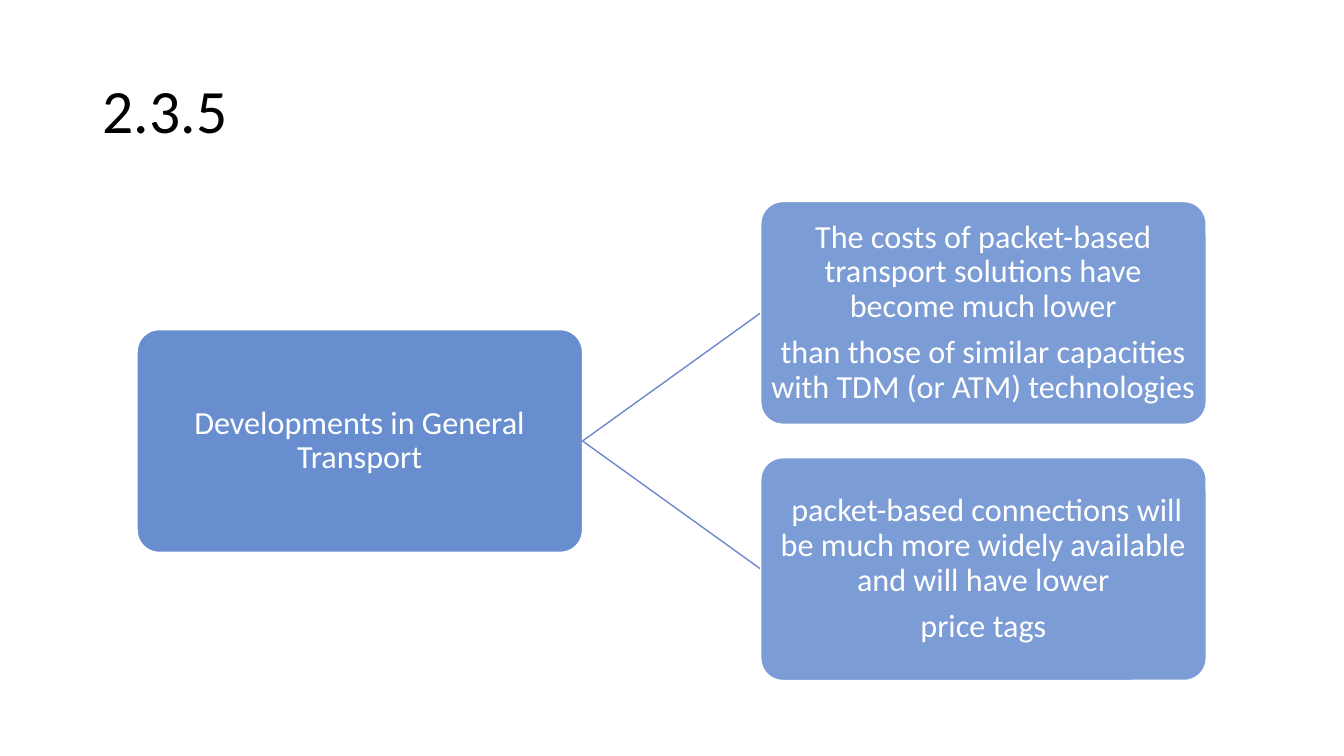
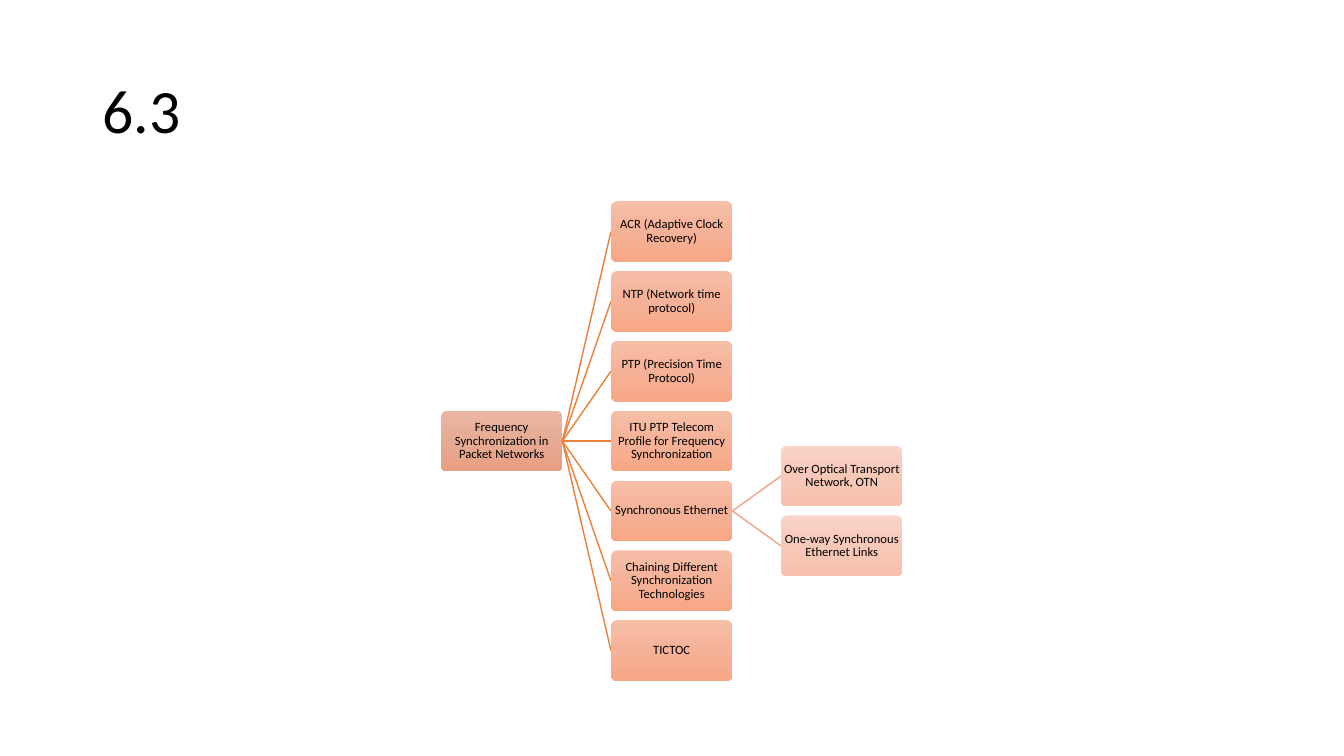
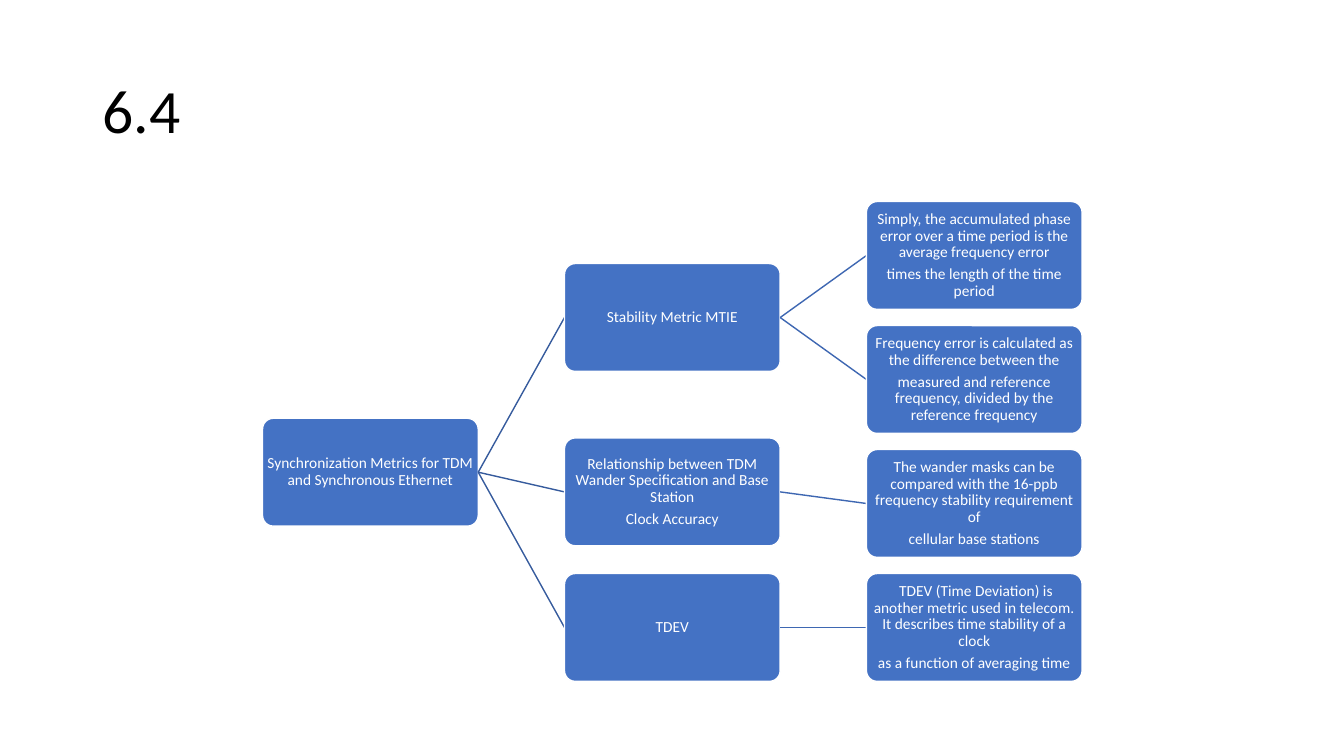
from copy import deepcopy
from dataclasses import dataclass, field

from lxml import etree
from pptx import Presentation, util as u
from pptx.dml.color import RGBColor
from pptx.enum import shapes, text
from pptx.oxml.ns import qn

PX = 4572  # EMU, 200 px to the inch
FONT = "Calibri"
BLACK = RGBColor(0x00, 0x00, 0x00)
WHITE = RGBColor(0xFF, 0xFF, 0xFF)
BLUE = RGBColor(0x44, 0x72, 0xC4)
SOFT_BLUE = RGBColor(0x6D, 0x89, 0xCB)
DARK_BLUE = RGBColor(0x36, 0x5B, 0x9D)
MID_BLUE = RGBColor(0x3E, 0x67, 0xB2)
ORANGE = RGBColor(0xED, 0x7F, 0x39)
PALE_ORANGE = RGBColor(0xF1, 0xA3, 0x83)
CLAY_FADE = [RGBColor(0xEA, 0xB7, 0xA3), RGBColor(0xE6, 0xAB, 0x95), RGBColor(0xE7, 0x9E, 0x81)]
PEACH_FADE = [RGBColor(0xF7, 0xBE, 0xA7), RGBColor(0xF5, 0xB2, 0x98), RGBColor(0xF8, 0xA7, 0x85)]
BLUSH_FADE = [RGBColor(0xF9, 0xD4, 0xC8), RGBColor(0xF7, 0xC8, 0xB8), RGBColor(0xF8, 0xC0, 0xAD)]


@dataclass
class Node:
    """A box of the tree; without a top it is centred beside its parent."""
    lines: list
    kids: list = field(default_factory=list)
    top: int | None = None


@dataclass
class Look:
    """Style of one tree; fills and edges hold one entry per level."""
    width: int
    size: int
    ink: RGBColor
    fills: list
    edges: list
    opacity: list | None = None
    outline: RGBColor | None = None

    @property
    def height(self):
        return self.width / 2

    @property
    def row_step(self):
        return self.height * 1.15

    @property
    def column_step(self):
        return self.width * 1.4


def px(*lengths):
    return [u.Emu(round(n * PX)) for n in lengths]


class Deck:
    def __init__(self):
        self.prs = Presentation()
        self.prs.slide_width, self.prs.slide_height = px(2667, 1500)
        self.s = None
        self.look = None

    def slide(self, title, look):
        self.s = self.prs.slides.add_slide(self.prs.slide_layouts[5])
        self.look = look
        sp = self.s.shapes.title
        sp.left, sp.top, sp.width, sp.height = px(184, 80, 2300, 290)
        tf = sp.text_frame
        tf.text = title
        tf.vertical_anchor = text.MSO_ANCHOR.MIDDLE
        self.paragraph(tf.paragraphs[0], 44, BLACK, text.PP_ALIGN.LEFT)

    def paragraph(self, p, size, color, align):
        p.alignment = align
        p.line_spacing = 0.9
        p.font.name, p.font.size = FONT, u.Pt(size)
        p.font.color.rgb = color

    def paint(self, sp, level):
        colors = self.look.fills[level]
        if len(colors) == 1:
            sp.fill.solid()
            sp.fill.fore_color.rgb = colors[0]
            if self.look.opacity:
                rgb = sp._element.spPr.find(".//" + qn("a:srgbClr"))
                alpha = etree.SubElement(rgb, qn("a:alpha"))
                alpha.set("val", str(self.look.opacity[level] * 1000))
        else:
            sp.fill.gradient()
            sp.fill.gradient_angle = 270
            stops = sp._element.spPr.find(".//" + qn("a:gsLst"))
            stops.insert(1, deepcopy(stops[0]))
            for i, (stop, color) in enumerate(zip(sp.fill.gradient_stops, colors)):
                stop.color.rgb = color
                stop.position = i / 2
        if self.look.outline is None:
            sp.line.fill.background()
        else:
            sp.line.color.rgb = self.look.outline
            sp.line.width = u.Pt(1)

    def box(self, lines, left, top, level):
        look = self.look
        sp = self.s.shapes.add_shape(shapes.MSO_SHAPE.ROUNDED_RECTANGLE,
                                     *px(left, top, look.width, look.height))
        sp.adjustments[0] = 0.1
        sp.shadow.inherit = False
        self.paint(sp, level)
        tf = sp.text_frame
        tf.word_wrap = True
        tf.vertical_anchor = text.MSO_ANCHOR.MIDDLE
        inset = u.Pt(look.size * 0.05)
        tf.margin_left = tf.margin_right = tf.margin_top = tf.margin_bottom = inset
        tf.text = "\n".join(lines)
        for p in tf.paragraphs:
            self.paragraph(p, look.size, look.ink, text.PP_ALIGN.CENTER)
            p.space_after = u.Pt(look.size * 0.35)

    def edge(self, x1, y1, x2, y2, color):
        line = self.s.shapes.add_connector(shapes.MSO_CONNECTOR.STRAIGHT, *px(x1, y1, x2, y2))
        line.line.color.rgb = color
        line.line.width = u.Pt(1)
        etree.SubElement(line._element.spPr, qn("a:effectLst"))

    def tree(self, node, left, top, level=0):
        """Draw a node, then each child with the line that leads to it."""
        look = self.look
        self.box(node.lines, left, top, level)
        kid_left = left + look.column_step
        middle = look.height / 2
        for i, kid in enumerate(node.kids):
            kid_top = kid.top
            if kid_top is None:
                kid_top = top + (i - (len(node.kids) - 1) / 2) * look.row_step
            self.edge(left + look.width, top + middle, kid_left, kid_top + middle,
                      look.edges[level])
            self.tree(kid, kid_left, kid_top, level + 1)


TRANSPORT = Node(["Developments in General Transport"], [
    Node(["The costs of packet-based transport solutions have become much lower",
          "than those of similar capacities with TDM (or ATM) technologies"]),
    Node([" packet-based connections will be much more widely available and will have lower",
          "price tags"]),
])

FREQUENCY = Node(["Frequency Synchronization in Packet Networks"], [
    Node(["ACR (Adaptive Clock Recovery)"]),
    Node(["NTP (Network time protocol)"]),
    Node(["PTP (Precision Time Protocol)"]),
    Node(["ITU PTP Telecom Profile for Frequency Synchronization"]),
    Node(["Synchronous Ethernet"], [
        Node(["Over Optical Transport Network, OTN"]),
        Node(["One-way Synchronous Ethernet Links"]),
    ]),
    Node(["Chaining Different Synchronization Technologies"]),
    Node(["TICTOC"]),
])

METRICS = Node(["Synchronization Metrics for TDM and Synchronous Ethernet"], [
    Node(["Stability Metric MTIE"], [
        Node(["Simply, the accumulated phase error over a time period is the average "
              "frequency error",
              "times the length of the time period"]),
        Node(["Frequency error is calculated as the difference between the",
              "measured and reference frequency, divided by the reference frequency"]),
    ], top=523),
    Node(["Relationship between TDM Wander Specification and Base Station",
          "Clock Accuracy"], [
        Node(["The wander masks can be compared with the 16-ppb frequency stability "
              "requirement of",
              "cellular base stations"], top=892),
    ], top=869),
    Node(["TDEV"], [
        Node([" TDEV (Time Deviation) is another metric used in telecom. It describes time "
              "stability of a clock",
              "as a function of averaging time"]),
    ], top=1138),
])


def main():
    deck = Deck()
    deck.slide("2.3.5", Look(884, 23, WHITE, [[BLUE]] * 2, [SOFT_BLUE],
                             opacity=[80, 70], outline=WHITE))
    deck.tree(TRANSPORT, 272, 654)
    deck.slide("6.3", Look(241, 9, BLACK, [CLAY_FADE, PEACH_FADE, BLUSH_FADE],
                           [ORANGE, PALE_ORANGE]))
    deck.tree(FREQUENCY, 875, 815)
    deck.slide("6.4", Look(428, 11, WHITE, [[BLUE]] * 3, [DARK_BLUE, MID_BLUE],
                           outline=WHITE))
    deck.tree(METRICS, 521, 830)
    deck.prs.save("out.pptx")


if __name__ == "__main__":
    main()
